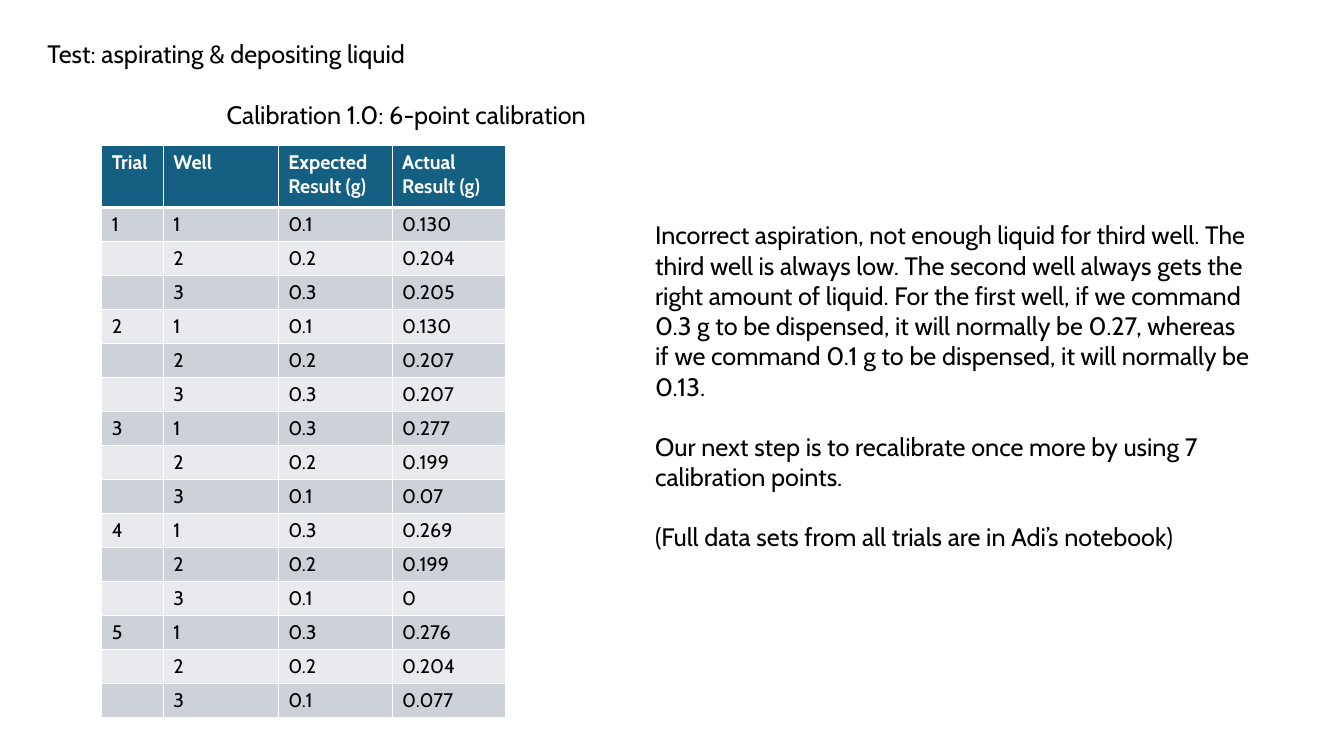
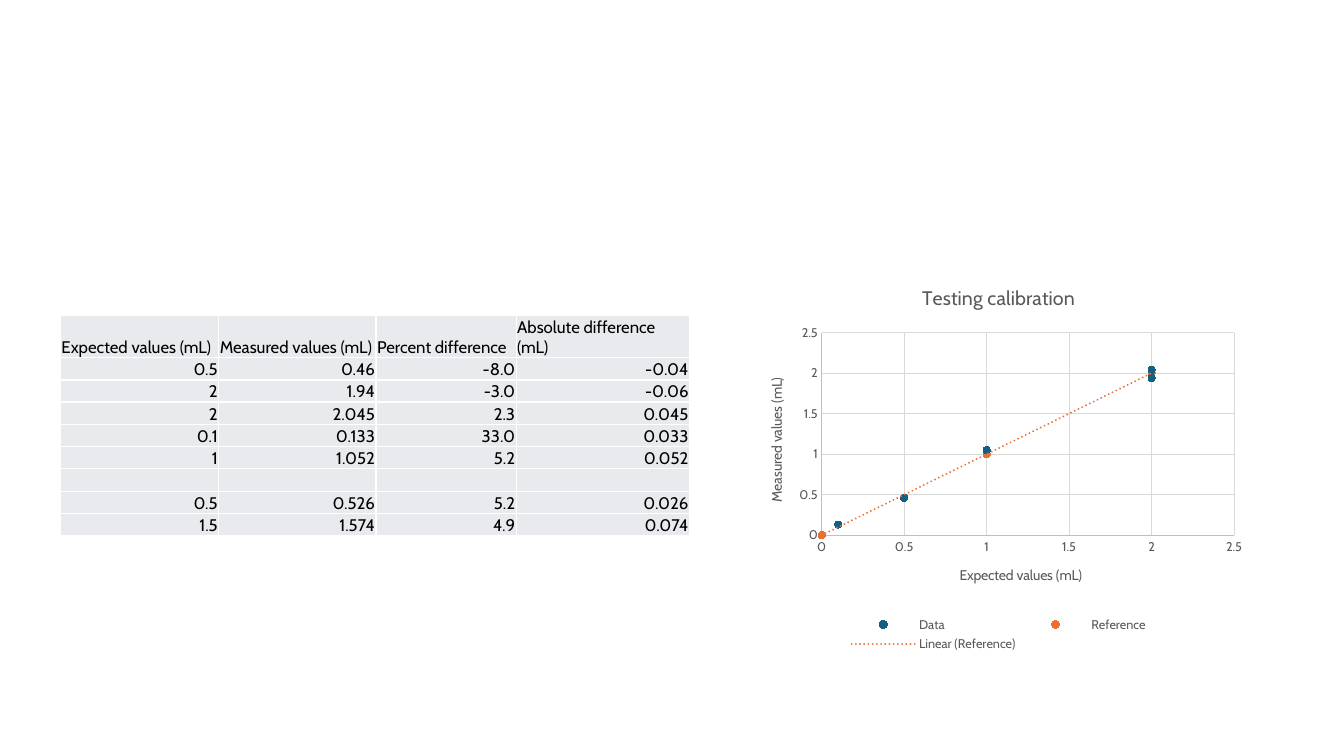
import lxml.etree
import pptx
import pptx.chart.data
import pptx.dml.color
import pptx.enum.chart
import pptx.enum.text
import pptx.oxml
import pptx.oxml.ns
import pptx.util

Pt = pptx.util.Pt
qn = pptx.oxml.ns.qn
Align = pptx.enum.text.PP_ALIGN
Anchor = pptx.enum.text.MSO_ANCHOR
Kind = pptx.enum.chart

SCALE = 9144  # EMU per px, 100 px to the inch
FACE = "Cabin"
HUES = {
    "ink": "000000", "paper": "FFFFFF", "blue": "156082", "orange": "E97132",
    "dark": "CCD2D8", "light": "E8EAED", "gray": "595959",
    "axis": "BFBFBF", "grid": "D9D9D9",
}

TITLE = "Test: aspirating & depositing liquid"
LABEL = "Calibration 1.0: 6-point calibration"
NOTES = [
    "Incorrect aspiration, not enough liquid for third well. The third well is "
    "always low. The second well always gets the right amount of liquid. For the "
    "first well, if we command 0.3 g to be dispensed, it will normally be 0.27, "
    "whereas if we command 0.1 g to be dispensed, it will normally be 0.13.",
    "Our next step is to recalibrate once more by using 7 calibration points.",
    "(Full data sets from all trials are in Adi’s notebook)",
]
RISE = ("0.1", "0.2", "0.3")
FALL = RISE[::-1]
TRIALS = [
    (RISE, ("0.130", "0.204", "0.205")),
    (RISE, ("0.130", "0.207", "0.207")),
    (FALL, ("0.277", "0.199", "0.07")),
    (FALL, ("0.269", "0.199", "0")),
    (FALL, ("0.276", "0.204", "0.077")),
]
XNAME, YNAME = "Expected values (mL)", "Measured values (mL)"
CHECKS = [
    ("0.5", "0.46", "-8.0", "-0.04"),
    ("2", "1.94", "-3.0", "-0.06"),
    ("2", "2.045", "2.3", "0.045"),
    ("0.1", "0.133", "33.0", "0.033"),
    ("1", "1.052", "5.2", "0.052"),
    ("", "", "", ""),
    ("0.5", "0.526", "5.2", "0.026"),
    ("1.5", "1.574", "4.9", "0.074"),
]


def px(*sizes):
    return [pptx.util.Emu(size * SCALE) for size in sizes]


def hue(name):
    return pptx.dml.color.RGBColor.from_string(HUES[name])


def apply(thing, **values):
    for name, value in values.items():
        setattr(thing, name, value)


def style(font, size, color="ink", bold=False):
    apply(font, name=FACE, size=Pt(size), bold=bold)
    font.color.rgb = hue(color)


def stroke(line, color):
    line.color.rgb = hue(color)
    line.width = Pt(0.75)


def write(frame, lines, size, gap=0):
    """Fill a text frame, one paragraph per line."""
    frame.word_wrap = True
    for i, text in enumerate(lines):
        para = frame.add_paragraph() if i else frame.paragraphs[0]
        para.alignment = Align.LEFT
        if i:
            para.space_before = Pt(gap)
        run = para.add_run()
        run.text = text
        style(run.font, size)


def note(slide, box, lines, gap=0):
    write(slide.shapes.add_textbox(*px(*box)).text_frame, lines, 18, gap)


def edge(cell, top=1, base=1):
    """White cell borders, widths in points."""
    props = cell._tc.get_or_add_tcPr()
    for side, width in zip("LRTB", (1, 1, top, base)):
        line = lxml.etree.SubElement(props, qn("a:ln" + side), w=str(Pt(width)))
        fill = lxml.etree.SubElement(line, qn("a:solidFill"))
        lxml.etree.SubElement(fill, qn("a:srgbClr"), val=HUES["paper"])


def grid(slide, spot, cols, heights, rows, size, look):
    """Table at spot; look(row) gives fill, text and cell formats."""
    box = (*spot, sum(cols), sum(heights))
    table = slide.shapes.add_table(len(rows), len(cols), *px(*box)).table
    for col, width in zip(table.columns, px(*cols)):
        col.width = width
    for row, height in zip(table.rows, px(*heights)):
        row.height = height
    for i, row in enumerate(rows):
        form = look(i)
        for j, text in enumerate(row):
            cell = table.cell(i, j)
            edge(cell, **form.get("edge", {}))
            cell.fill.solid()
            cell.fill.fore_color.rgb = hue(form["fill"])
            apply(cell, **form.get("cell", {}))
            para = cell.text_frame.paragraphs[0]
            para.alignment = form.get("align", Align.LEFT)
            if text:
                run = para.add_run()
                run.text = text
                style(run.font, size, **form.get("font", {}))
            else:  # keeps empty cells from growing their row
                lxml.etree.SubElement(para._p, qn("a:endParaRPr"), sz=str(size * 100))


def trial_look(i):
    if i == 0:
        return {"fill": "blue", "font": {"color": "paper", "bold": True},
                "edge": {"base": 3}}
    return {"fill": "dark" if i % 2 else "light", "edge": {"top": 3 if i == 1 else 1}}


def check_look(i):
    left, top, right, base = px(1, 1, 1, 0)
    return {
        "fill": "light", "align": Align.RIGHT if i else Align.LEFT,
        "cell": {"margin_left": left, "margin_top": top, "margin_right": right,
                 "margin_bottom": base, "vertical_anchor": Anchor.BOTTOM},
    }


def head(frame, text, size):
    """Title of a chart or an axis."""
    run = frame.paragraphs[0].add_run()
    run.text = text
    style(run.font, size, "gray")


def trend(series, label):
    """Dotted linear trend line."""
    node = pptx.oxml.parse_xml(
        f'<c:trendline {pptx.oxml.ns.nsdecls("c", "a")}><c:name>{label}</c:name>'
        f'<c:spPr><a:ln w="{Pt(1.5)}" cap="rnd"><a:solidFill>'
        f'<a:srgbClr val="{HUES["orange"]}"/></a:solidFill>'
        '<a:prstDash val="sysDot"/></a:ln></c:spPr>'
        '<c:trendlineType val="linear"/><c:dispRSqr val="0"/><c:dispEq val="0"/>'
        '</c:trendline>')
    series._element.find(qn("c:xVal")).addprevious(node)


def place(chart, box, inner):
    """Fix the inner plot area, in px from the corner of the chart box."""
    area = chart._chartSpace.chart.plotArea
    for old in area.findall(qn("c:layout")):
        area.remove(old)
    layout = lxml.etree.Element(qn("c:layout"))
    manual = lxml.etree.SubElement(layout, qn("c:manualLayout"))
    values = {"layoutTarget": "inner", "xMode": "edge", "yMode": "edge"}
    for name, part, whole in zip("xywh", inner, box[2:] * 2):
        values[name] = part / whole
    for name, value in values.items():
        lxml.etree.SubElement(manual, qn("c:" + name), val=str(value))
    area.insert(0, layout)


def plot(slide, box):
    """Scatter of measured against expected values."""
    data = pptx.chart.data.XyChartData()
    sets = {
        "Data": [(float(row[0]), round(float(row[1]), 2)) for row in CHECKS[:5]],
        "Reference": [(n, n) for n in range(3)],
    }
    for name, points in sets.items():
        series = data.add_series(name)
        for x, y in points:
            series.add_data_point(x, y)
    chart = slide.shapes.add_chart(
        Kind.XL_CHART_TYPE.XY_SCATTER, *px(*box), data).chart
    style(chart.font, 10)
    apply(chart, has_title=True, has_legend=True)
    head(chart.chart_title.text_frame, "Testing calibration", 14)
    apply(chart.legend, position=Kind.XL_LEGEND_POSITION.BOTTOM,
          include_in_layout=False)
    style(chart.legend.font, 9, "gray")

    # Axes
    for axis, name in ((chart.category_axis, XNAME), (chart.value_axis, YNAME)):
        apply(axis, minimum_scale=0, maximum_scale=2.5, major_unit=0.5,
              has_major_gridlines=True, has_title=True,
              major_tick_mark=Kind.XL_TICK_MARK.NONE,
              minor_tick_mark=Kind.XL_TICK_MARK.NONE)
        head(axis.axis_title.text_frame, name, 10)
        style(axis.tick_labels.font, 9, "gray")
        stroke(axis.format.line, "axis")
        stroke(axis.major_gridlines.format.line, "grid")

    # Points and trend
    body = chart.plots[0]
    body.vary_by_categories = False
    for series, color in zip(body.series, ("blue", "orange")):
        series.format.line.fill.background()
        mark = series.marker
        apply(mark, style=Kind.XL_MARKER_STYLE.CIRCLE, size=5)
        mark.format.fill.solid()
        mark.format.fill.fore_color.rgb = hue(color)
        stroke(mark.format.line, color)
    trend(body.series[1], "Linear (Reference)")
    place(chart, box, (76, 65, 409, 201))


def trial_slide(deck):
    slide = deck.slides.add_slide(deck.slide_layouts[5])
    title = slide.shapes.title
    left, top, width, height = px(37, 6, 1203, 98)
    apply(title, left=left, top=top, width=width, height=height)
    write(title.text_frame, [TITLE], 18)
    title.text_frame.vertical_anchor = Anchor.MIDDLE
    title.text_frame.paragraphs[0].line_spacing = 0.9

    rows = [("Trial", "Well", "Expected Result (g)", "Actual Result (g)")]
    for n, (goals, finds) in enumerate(TRIALS, 1):
        for well, (goal, found) in enumerate(zip(goals, finds), 1):
            rows.append((str(n) if well == 1 else "", str(well), goal, found))
    heights = [62] + [33] * (len(rows) - 1)
    grid(slide, (101, 144), (61, 114, 113, 113), heights, rows, 14, trial_look)
    note(slide, (215, 94, 388, 40), [LABEL])
    note(slide, (640, 213, 614, 343), NOTES, gap=21.5)


def check_slide(deck):
    slide = deck.slides.add_slide(deck.slide_layouts[6])
    rows = [(XNAME, YNAME, "Percent difference", "Absolute difference (mL)")] + CHECKS
    heights = [42] + [22 if row[0] else 23 for row in CHECKS]
    grid(slide, (60, 313), (157, 156, 139, 172), heights, rows, 12, check_look)
    plot(slide, (739, 265, 503, 386))


def main():
    deck = pptx.Presentation()
    deck.slide_width, deck.slide_height = px(1333, 750)
    trial_slide(deck)
    check_slide(deck)
    deck.save("out.pptx")


if __name__ == "__main__":
    main()
